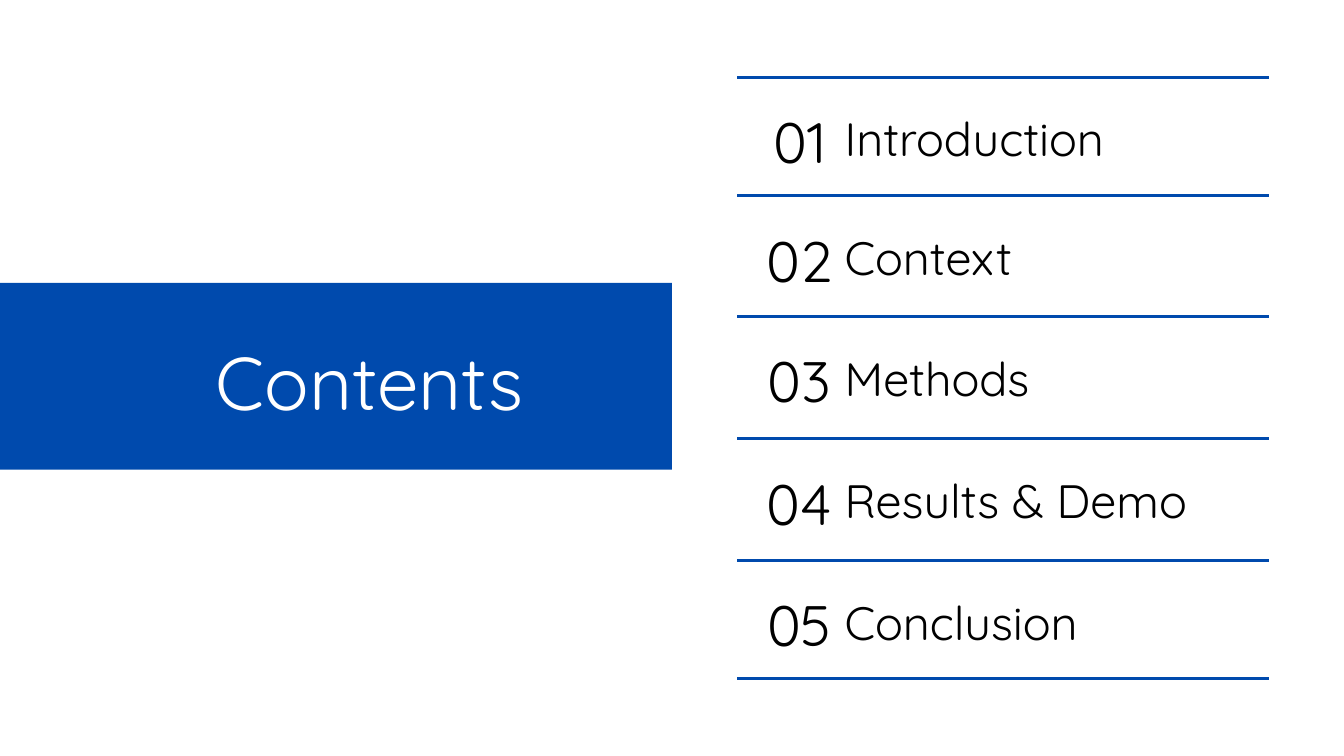
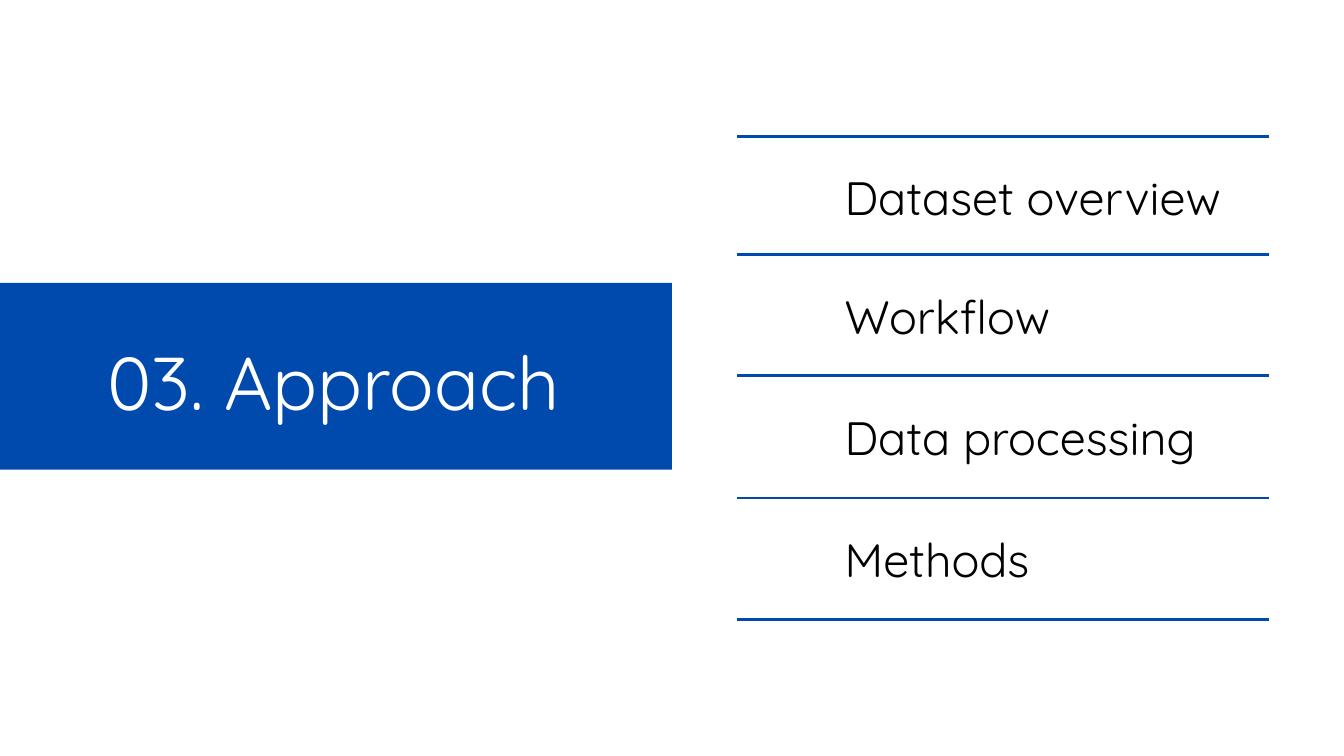
import pptx
import pptx.dml.color
import pptx.enum.shapes
import pptx.enum.text
import pptx.oxml.ns
import pptx.util
from lxml import etree

Inches = pptx.util.Inches
Pt = pptx.util.Pt
ALIGN = pptx.enum.text.PP_ALIGN

FONT = "Quicksand"
BLUE, WHITE, BLACK = "004AAD", "FFFFFF", "000000"
LINE_RATIO = 1.4

BAND = (-0.56, 4.21, 10.56, 2.78)
LIST_LEFT, LIST_WIDTH = 10.97, 7.91
RULE_OFFSETS = (0, 1.76, 3.56, 5.38, 7.19, 8.95)


def color(hex_code):
    """Return the colour for a hex string."""
    return pptx.dml.color.RGBColor.from_string(hex_code)


def add_text(page, text, box, size, hex_code=BLACK, align=ALIGN.LEFT):
    """Add one line of text in a box given as left, top, width, height."""
    frame = page.shapes.add_textbox(*map(Inches, box)).text_frame
    frame.margin_left = frame.margin_right = 0
    frame.margin_top = frame.margin_bottom = 0
    frame.word_wrap = True
    frame.auto_size = pptx.enum.text.MSO_AUTO_SIZE.SHAPE_TO_FIT_TEXT
    para = frame.paragraphs[0]
    para.alignment = align
    para.line_spacing = Pt(round(size * LINE_RATIO, 1))
    span = para.add_run()
    span.text = text
    span.font.name = FONT
    span.font.size = Pt(size)
    span.font.color.rgb = color(hex_code)


def add_rule(page, left, top, width):
    """Add a horizontal blue rule."""
    rule = page.shapes.add_connector(
        pptx.enum.shapes.MSO_CONNECTOR.STRAIGHT,
        Inches(left), Inches(top), Inches(left + width), Inches(top))
    rule.line.color.rgb = color(BLUE)
    rule.line.width = Pt(3)
    etree.SubElement(rule._element.spPr, pptx.oxml.ns.qn("a:effectLst"))


def add_title_band(page, title, box, title_inset, title_width):
    """Add the blue band with its title."""
    left, top, width, height = box
    band = page.shapes.add_shape(
        pptx.enum.shapes.MSO_SHAPE.RECTANGLE, *map(Inches, box))
    band.shadow.inherit = False
    band.fill.solid()
    band.fill.fore_color.rgb = color(BLUE)
    band.line.fill.background()
    add_text(page, title, (left + title_inset, top + 0.57, title_width, 1.51),
             size=80, hex_code=WHITE, align=ALIGN.CENTER)


def add_topic_list(page, topics, left, top, width, numbered):
    """Add topics between rules, with numbers if asked."""
    for offset in RULE_OFFSETS[:len(topics) + 1]:
        add_rule(page, left, top + offset, width)
    for number, (topic, offset) in enumerate(zip(topics, RULE_OFFSETS), 1):
        row_top = top + offset
        add_text(page, topic, (left + 1.6, row_top + 0.35, width - 1.61, 0.94),
                 size=50.1)
        if numbered:
            add_text(page, f"{number:02}", (left + 0.3, row_top + 0.27, 1.26, 1.13),
                     size=61, align=ALIGN.CENTER)


def add_agenda_page(deck, title, title_inset, title_width, topics, list_top,
                    numbered=False):
    """Add a slide with a title band at left and topics at right."""
    page = deck.slides.add_slide(deck.slide_layouts[6])
    page.background.fill.solid()
    page.background.fill.fore_color.rgb = color(WHITE)
    add_title_band(page, title, BAND, title_inset, title_width)
    add_topic_list(page, topics, LIST_LEFT, list_top, LIST_WIDTH, numbered)


def main():
    """Build and save the deck."""
    deck = pptx.Presentation()
    deck.slide_width, deck.slide_height = Inches(20), Inches(11.25)
    add_agenda_page(
        deck, "Contents", 3.2, 5.73,
        ["Introduction", "Context", "Methods", "Results & Demo", "Conclusion"],
        list_top=1.15, numbered=True)
    add_agenda_page(
        deck, "03. Approach", 1.68, 7.7,
        ["Dataset overview", "Workflow", "Data processing", "Methods"],
        list_top=2.03)
    deck.save("out.pptx")


if __name__ == "__main__":
    main()
